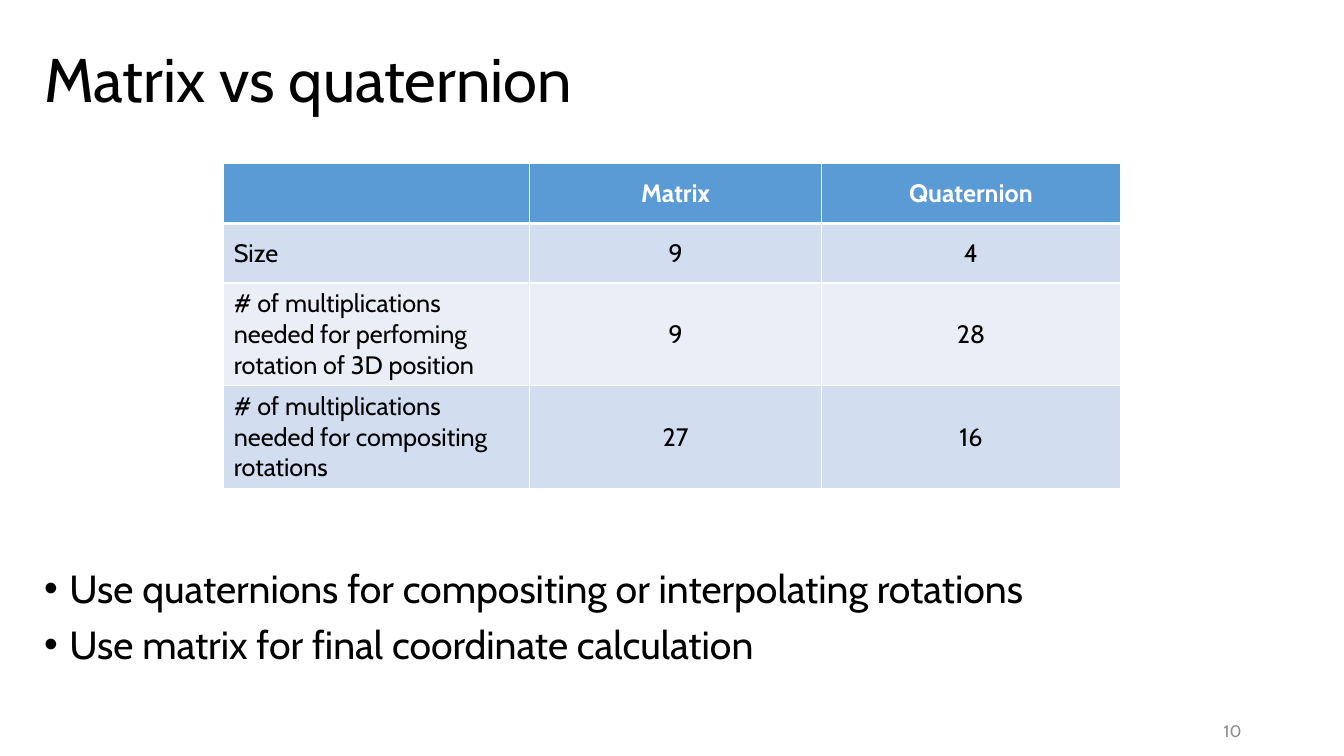
from dataclasses import dataclass

from lxml import etree
from pptx import Presentation
from pptx import util as u
from pptx.dml.color import RGBColor
from pptx.enum import text
from pptx.oxml import ns

FONT = "Cabin"
COLORS = {
    "text": "000000",
    "white": "FFFFFF",
    "header": "5B9BD5",
    "odd_row": "D2DEEF",
    "even_row": "EAEFF7",
    "page_number": "8C8C8C",
}
COLUMN_WIDTHS = (7.7, 7.37, 7.52)
HEADER_RULE = 3
GRID_RULE = 1


@dataclass(frozen=True)
class Box:
    left: float
    top: float
    width: float
    height: float

    def lengths(self) -> tuple[u.Cm, ...]:
        return tuple(u.Cm(n) for n in (self.left, self.top, self.width, self.height))


@dataclass(frozen=True)
class Row:
    values: tuple[str, str, str]
    height: float
    fill: str
    color: str = "text"
    bold: bool = False
    top_rule: int = GRID_RULE
    bottom_rule: int = GRID_RULE


TITLE_BOX = Box(0.86, 0.25, 32.13, 3.68)
BODY_BOX = Box(0.86, 14.22, 32.13, 3.68)
NUMBER_BOX = Box(29.13, 17.91, 2.41, 1.02)
ROWS = (
    Row(("", "Matrix", "Quaternion"), 1.5, "header", color="white", bold=True,
        bottom_rule=HEADER_RULE),
    Row(("Size", "9", "4"), 1.5, "odd_row", top_rule=HEADER_RULE),
    Row(("# of multiplications needed for perfoming rotation of 3D position", "9", "28"),
        2.59, "even_row"),
    Row(("# of multiplications needed for compositing rotations", "27", "16"),
        2.59, "odd_row"),
)
TABLE_BOX = Box(5.64, 4.13, sum(COLUMN_WIDTHS), sum(row.height for row in ROWS))
ADVICE = (
    "Use quaternions for compositing or interpolating rotations",
    "Use matrix for final coordinate calculation",
)


def add_bullet(paragraph, indent: float) -> None:
    properties = paragraph._p.get_or_add_pPr()
    properties.set("marL", str(u.Cm(indent)))
    properties.set("indent", str(-u.Cm(indent)))
    etree.SubElement(properties, ns.qn("a:buFont"), typeface="Arial")
    etree.SubElement(properties, ns.qn("a:buChar"), char="•")


def write_text(frame, *lines: str, size: float, color: str = "text", bold: bool = False,
               align=text.PP_ALIGN.LEFT, line_spacing: float = 1.0,
               space_before: float = 0, bulleted: bool = False) -> None:
    frame.word_wrap = True
    for index, line in enumerate(lines):
        paragraph = frame.add_paragraph() if index else frame.paragraphs[0]
        paragraph.alignment = align
        paragraph.line_spacing = line_spacing
        paragraph.space_before = u.Pt(space_before)
        if bulleted:
            add_bullet(paragraph, 0.64)
        run = paragraph.add_run()
        run.text = line
        run.font.name = FONT
        run.font.size = u.Pt(size)
        run.font.bold = bold
        run.font.color.rgb = RGBColor.from_string(COLORS[color])


def add_border(cell, side: str, width: float) -> None:
    """Draw a white rule on one side: L, R, T or B, in that order, before the fill."""
    properties = cell._tc.get_or_add_tcPr()
    line = etree.SubElement(properties, ns.qn(f"a:ln{side}"), w=str(u.Pt(width)))
    fill = etree.SubElement(line, ns.qn("a:solidFill"))
    etree.SubElement(fill, ns.qn("a:srgbClr"), val=COLORS["white"])


def add_title(slide) -> None:
    title = slide.shapes.title
    title.left, title.top, title.width, title.height = TITLE_BOX.lengths()
    title.text_frame.auto_size = text.MSO_AUTO_SIZE.NONE
    title.text_frame.vertical_anchor = text.MSO_ANCHOR.MIDDLE
    write_text(title.text_frame, "Matrix vs quaternion", size=44, line_spacing=0.9)


def add_comparison(slide) -> None:
    table = slide.shapes.add_table(len(ROWS), len(COLUMN_WIDTHS), *TABLE_BOX.lengths()).table
    for column, width in zip(table.columns, COLUMN_WIDTHS):
        column.width = u.Cm(width)
    for table_row, row in zip(table.rows, ROWS):
        table_row.height = u.Cm(row.height)
        for index, (cell, value) in enumerate(zip(table_row.cells, row.values)):
            rules = {"L": GRID_RULE, "R": GRID_RULE, "T": row.top_rule, "B": row.bottom_rule}
            for side, width in rules.items():
                add_border(cell, side, width)
            cell.fill.solid()
            cell.fill.fore_color.rgb = RGBColor.from_string(COLORS[row.fill])
            cell.vertical_anchor = text.MSO_ANCHOR.MIDDLE
            if value:
                write_text(cell.text_frame, value, size=18, color=row.color, bold=row.bold,
                           align=text.PP_ALIGN.CENTER if index else text.PP_ALIGN.LEFT)


def main() -> None:
    presentation = Presentation()
    presentation.slide_width = u.Cm(33.87)
    presentation.slide_height = u.Cm(19.05)
    slide = presentation.slides.add_slide(presentation.slide_layouts.get_by_name("Title Only"))

    add_title(slide)
    advice = slide.shapes.add_textbox(*BODY_BOX.lengths())
    write_text(advice.text_frame, *ADVICE, size=28, line_spacing=0.9, space_before=10,
               bulleted=True)
    page_number = slide.shapes.add_textbox(*NUMBER_BOX.lengths())
    page_number.text_frame.vertical_anchor = text.MSO_ANCHOR.MIDDLE
    write_text(page_number.text_frame, "10", size=12, color="page_number",
               align=text.PP_ALIGN.RIGHT)
    add_comparison(slide)

    presentation.save("out.pptx")


if __name__ == "__main__":
    main()
